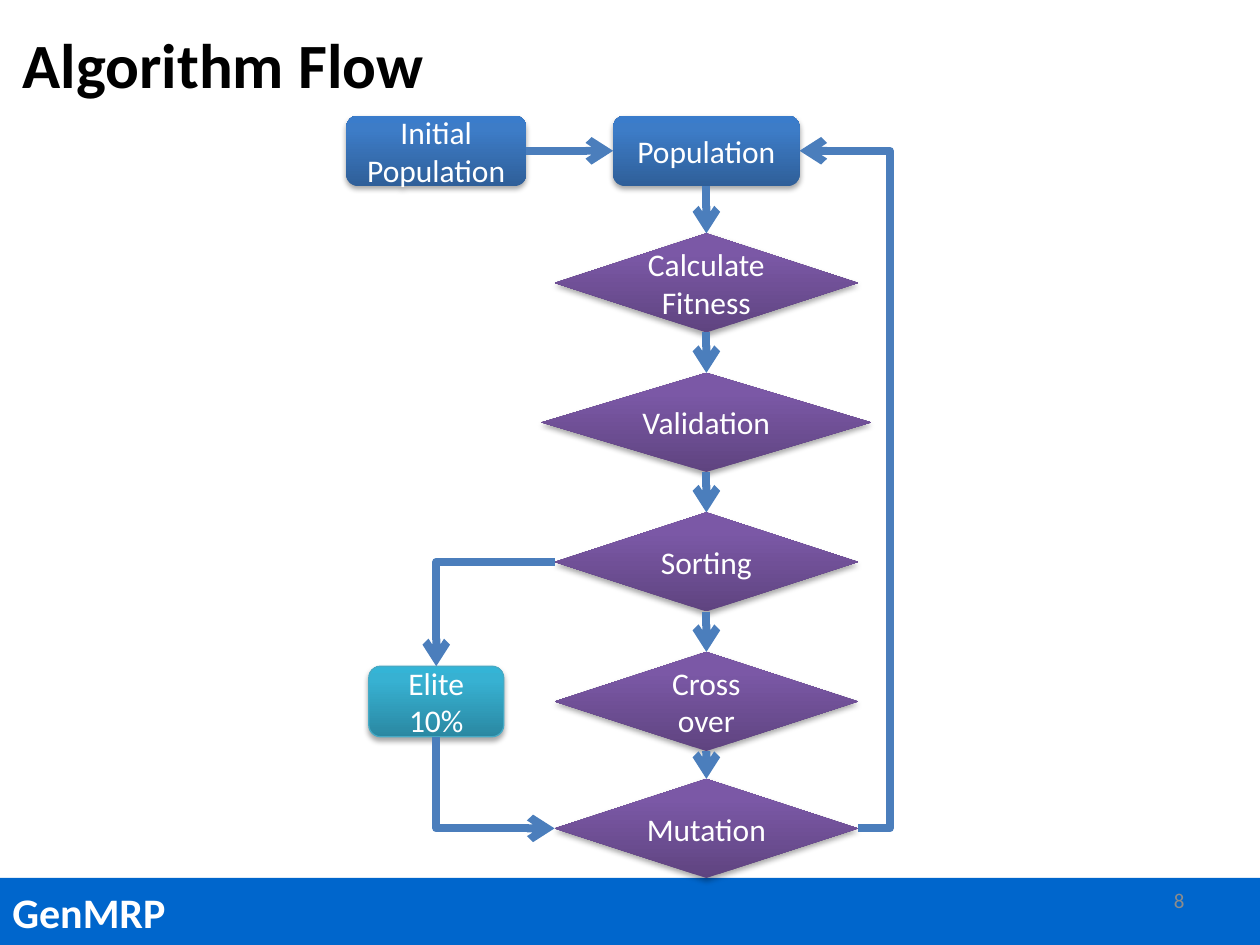
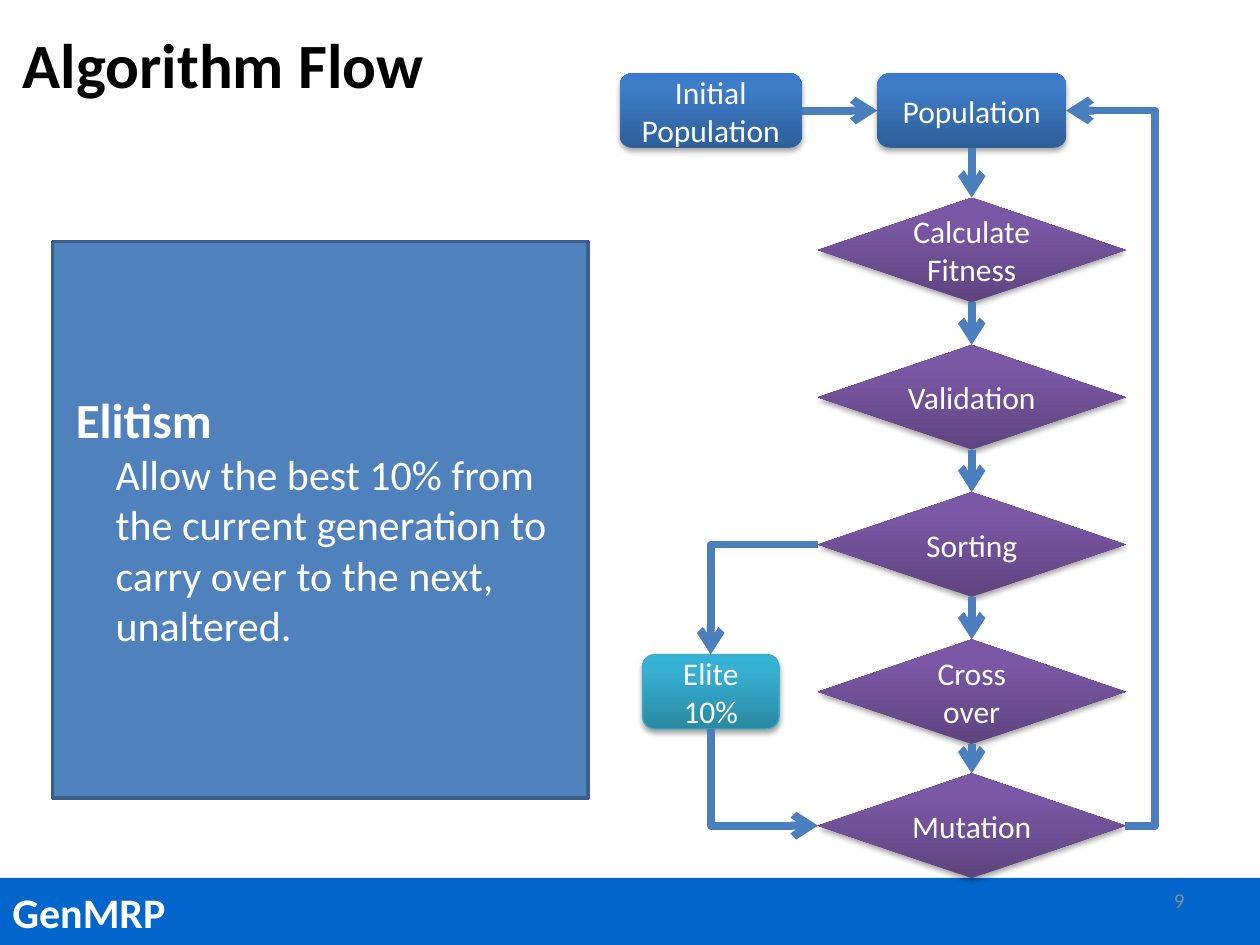
from lxml import etree
from pptx import Presentation
from pptx import util as u
from pptx.dml.color import RGBColor
from pptx.enum import shapes, text
from pptx.oxml import parse_xml
from pptx.oxml.ns import qn

FONT = "Calibri"
WHITE, BLACK, GREY = "FFFFFF", "000000", "8C8C8C"
BAND, PANEL, PANEL_EDGE = "0066CC", "4F81BD", "3A5F8C"
ARROW, ELITE_EDGE = "4B7EBC", "46AAC5"
# Gradient stops at 0, 80 and 100 %, from the bottom up
BLUE = ("2F5F99", "3D7CC7", "3A7CCB")
PURPLE = ("5F4480", "7B58A6", "7C57A8")
TEAL = ("2A88A2", "37B1D2", "34B4D6")

PAGE_WIDTH, PAGE_HEIGHT = 25.4, 19.05
BAND_TOP = 17.7
TOP, LEFT, BOTTOM, RIGHT = range(4)
KIND = shapes.MSO_SHAPE
DRAWING = 'xmlns:a="http://schemas.openxmlformats.org/drawingml/2006/main"'


def color(code):
    return RGBColor.from_string(code)


def cm(*lengths):
    return [u.Cm(length) for length in lengths]


def write(frame, words, size=18, ink=WHITE, bold=False, align="LEFT", indent=0, new=False):
    """Write one paragraph into a text frame, after the others if new."""
    frame.word_wrap = True
    frame.vertical_anchor = text.MSO_ANCHOR.MIDDLE
    para = frame.add_paragraph() if new else frame.paragraphs[0]
    para.alignment = getattr(text.PP_ALIGN, align)
    if indent:
        properties = para._p.get_or_add_pPr()
        properties.set("marL", str(u.Cm(indent)))
        properties.set("indent", "0")
    span = para.add_run()
    span.text = words
    span.font.name, span.font.size, span.font.bold = FONT, u.Pt(size), bold
    span.font.color.rgb = color(ink)


def add_text(page, box, words, **style):
    write(page.shapes.add_textbox(*cm(*box)).text_frame, words, **style)


def add_block(page, kind, box, fill, edge=None, edge_width=0.75):
    block = page.shapes.add_shape(kind, *cm(*box))
    block.shadow.inherit = False
    block.fill.solid()
    block.fill.fore_color.rgb = color(fill)
    if edge:
        block.line.color.rgb = color(edge)
        block.line.width = u.Pt(edge_width)
    else:
        block.line.fill.background()
    return block


def add_node(page, kind, center, size, words, tones, edge=None):
    """Add a flow chart step with a gradient and a soft shadow."""
    (x, y), (width, height) = center, size
    node = add_block(page, kind, (x - width / 2, y - height / 2, width, height), tones[0], edge)
    stops = "".join(f'<a:gs pos="{place * 1000}"><a:srgbClr val="{tone}"/></a:gs>'
                    for place, tone in zip((0, 80, 100), tones))
    properties = node._element.spPr
    properties.replace(properties.find(qn("a:solidFill")), parse_xml(
        f'<a:gradFill {DRAWING} rotWithShape="1"><a:gsLst>{stops}</a:gsLst>'
        '<a:lin ang="16200000" scaled="0"/></a:gradFill>'))
    properties.find(qn("a:effectLst")).append(parse_xml(
        f'<a:outerShdw {DRAWING} blurRad="40000" dist="23000" dir="5400000" rotWithShape="0">'
        '<a:srgbClr val="000000"><a:alpha val="35000"/></a:srgbClr></a:outerShdw>'))
    write(node.text_frame, words, align="CENTER")
    return node


def join(page, start, start_side, end, end_side, bend=None, adjust=None, arrow="tailEnd"):
    """Link two nodes; bend names the preset of a bent connector."""
    kind = shapes.MSO_CONNECTOR.ELBOW if bend else shapes.MSO_CONNECTOR.STRAIGHT
    link = page.shapes.add_connector(kind, 0, 0, 0, 0)
    link.begin_connect(start, start_side)
    link.end_connect(end, end_side)
    link.line.color.rgb = color(ARROW)
    link.line.width = u.Pt(4.5)
    etree.SubElement(link.line._get_or_add_ln(), qn("a:" + arrow), type="arrow")
    properties = link._element.spPr
    etree.SubElement(properties, qn("a:effectLst"))
    if bend:
        geometry = properties.find(qn("a:prstGeom"))
        geometry.set("prst", bend)
        if adjust is not None:
            guides = geometry.get_or_add_avLst()
            etree.SubElement(guides, qn("a:gd"), name="adj1", fmla=f"val {round(adjust * 100000)}")


def add_flow(page, box, scale=1.0, validation_width=6.12):
    """Draw the flow; its box ends at the return line on the right."""
    left, top, width, height = box
    right, bottom = left + width, top + height
    spine = right - 3.7
    box_height, decision_height = 0.0925 * height, 0.13 * height
    step = 0.183 * height
    cross_y = bottom - 0.2965 * height + decision_height / 2
    start_width = 3.63 * scale
    start_x, start_y = left + start_width / 2, top + box_height / 2

    def rounded(x, y, node_width, *look):
        return add_node(page, KIND.FLOWCHART_ALTERNATE_PROCESS, (x, y),
                        (node_width, box_height), *look)

    initial = rounded(start_x, start_y, start_width, "Initial Population", BLUE)
    population = rounded(spine, start_y, 3.76 * scale, "Population", BLUE)
    decisions = []
    names = ("Calculate Fitness", "Validation", "Sorting", "Cross over", "Mutation")
    for index, name in enumerate(names):
        y = bottom - decision_height / 2 if name == "Mutation" else cross_y - (3 - index) * step
        node_width = (validation_width if name == "Validation" else 6.12) * scale
        decisions.append(add_node(page, KIND.FLOWCHART_DECISION, (spine, y),
                                  (node_width, decision_height), name, PURPLE))
    elite = rounded(start_x, cross_y, 2.72 * scale, "Elite 10%", TEAL, ELITE_EDGE)

    join(page, initial, RIGHT, population, LEFT)
    chain = [population, *decisions]
    for upper, lower in zip(chain, chain[1:]):
        join(page, upper, BOTTOM, lower, TOP)
    sorting, mutation = decisions[2], decisions[4]
    join(page, sorting, LEFT, elite, TOP, bend="bentConnector2")
    join(page, mutation, LEFT, elite, BOTTOM, bend="bentConnector2", arrow="headEnd")
    gap = u.Cm(right) - mutation.left - mutation.width
    run = mutation.left + mutation.width - population.left - population.width
    join(page, mutation, RIGHT, population, RIGHT, bend="bentConnector3", adjust=-gap / run)


def add_panel(page, box, heading, body):
    panel = add_block(page, KIND.RECTANGLE, box, PANEL, PANEL_EDGE, 2)
    write(panel.text_frame, heading, size=28, bold=True, indent=0.22)
    write(panel.text_frame, body, size=24, indent=1.02, new=True)


def add_page(deck, title, number):
    """Add a page with the shared band, title and page number."""
    page = deck.slides.add_slide(deck.slide_layouts[6])
    band_box = (0, BAND_TOP, PAGE_WIDTH, PAGE_HEIGHT - BAND_TOP)
    band = add_block(page, KIND.RECTANGLE, band_box, BAND)
    write(band.text_frame, "GenMRP", size=24, bold=True)
    add_text(page, (0.21, 0.21, 17.35, 2.12), title, size=36, ink=BLACK, bold=True)
    add_text(page, (18.2, 17.65, 5.93, 1.01), str(number), size=12, ink=GREY, align="RIGHT")
    return page


def main():
    deck = Presentation()
    deck.slide_width, deck.slide_height = cm(PAGE_WIDTH, PAGE_HEIGHT)

    page = add_page(deck, "Algorithm Flow", 8)
    add_flow(page, (6.98, 2.33, 10.96, BAND_TOP - 2.33), validation_width=6.65)

    page = add_page(deck, "Algorithm Flow", 9)
    add_flow(page, (12.49, 1.48, 10.8, BAND_TOP - 1.48), scale=1.013)
    add_panel(page, (1.06, 4.87, 10.8, 11.22), "Elitism",
              "Allow the best 10% from the current generation to carry over to the next, unaltered.")

    deck.save("out.pptx")


if __name__ == "__main__":
    main()
